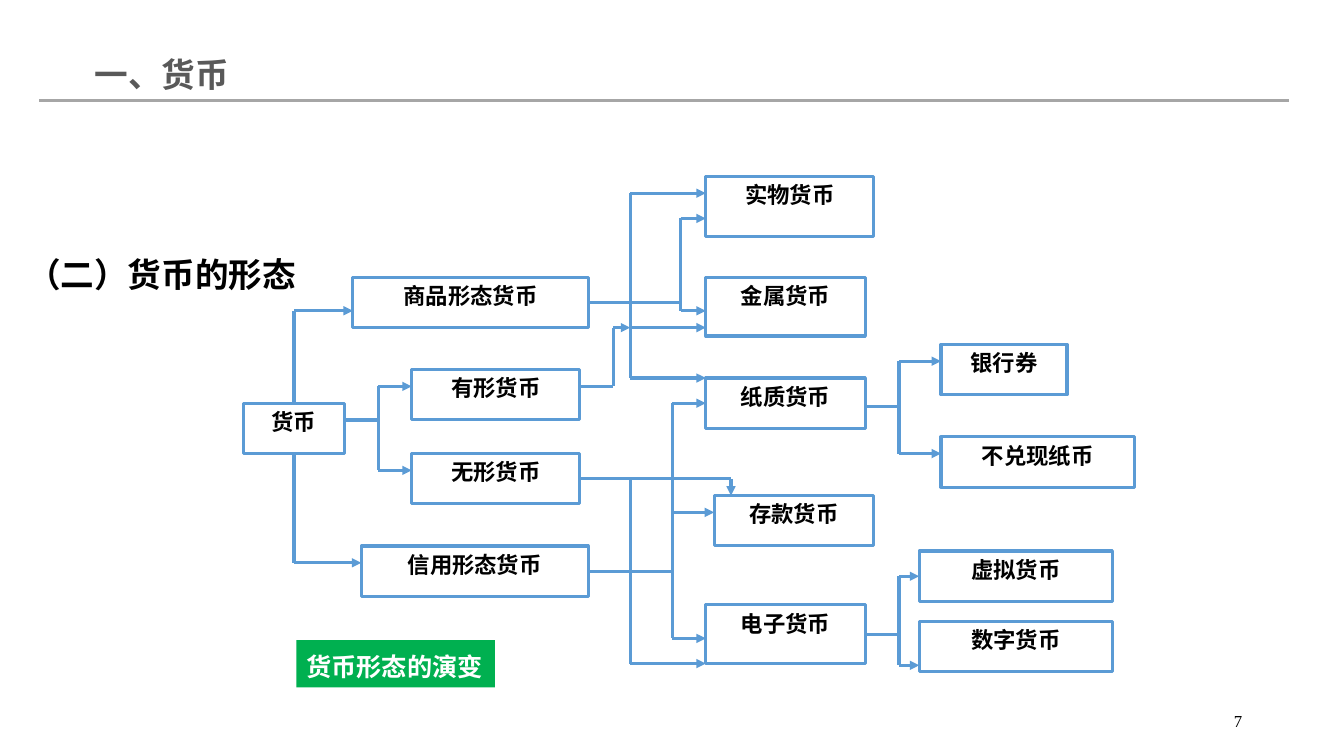
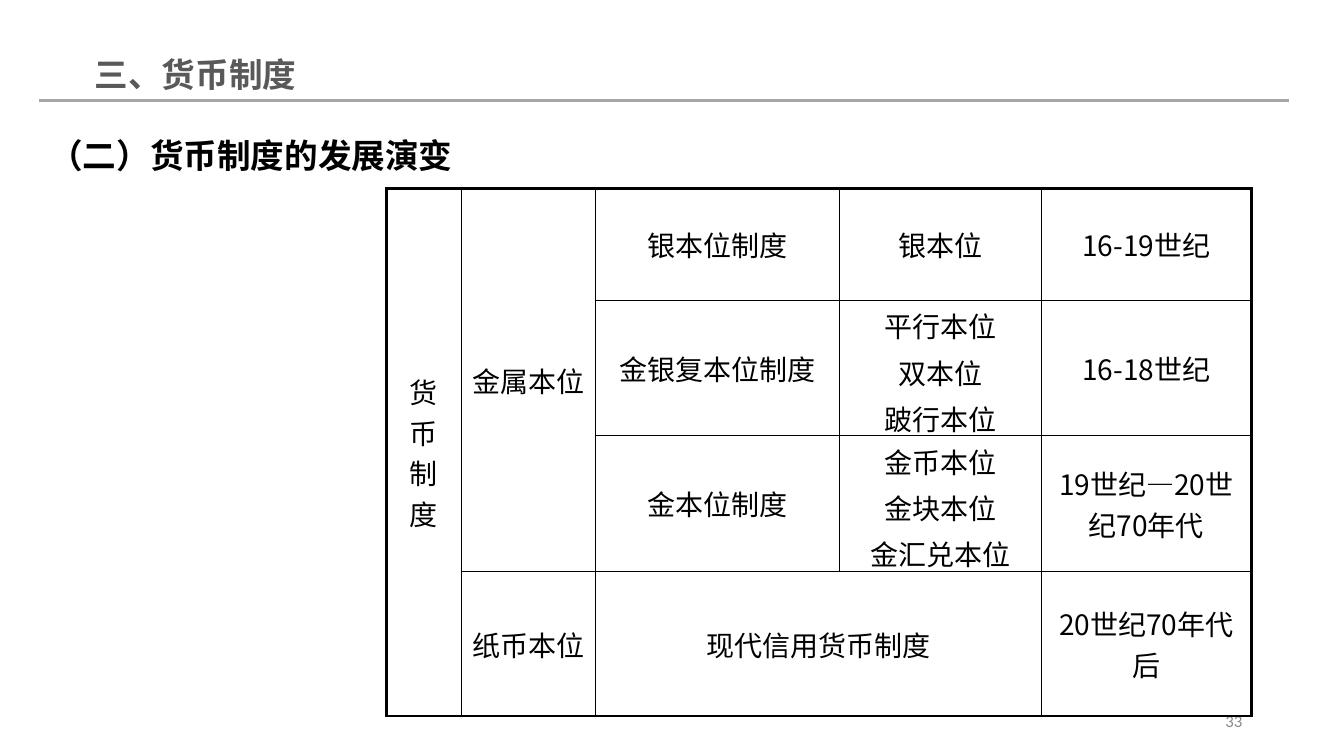
from dataclasses import dataclass
from itertools import pairwise

from lxml import etree
from pptx import Presentation
from pptx.dml.color import RGBColor
from pptx.enum.shapes import MSO_CONNECTOR, MSO_SHAPE
from pptx.enum.text import MSO_ANCHOR, PP_ALIGN
from pptx.oxml.ns import qn
from pptx.util import Inches, Pt

LEFT, CENTER, RIGHT = PP_ALIGN.LEFT, PP_ALIGN.CENTER, PP_ALIGN.RIGHT
TOP, MIDDLE = MSO_ANCHOR.TOP, MSO_ANCHOR.MIDDLE
RECTANGLE, STRAIGHT = MSO_SHAPE.RECTANGLE, MSO_CONNECTOR.STRAIGHT


@dataclass(frozen=True)
class Theme:
    cjk: str = "Noto Sans CJK SC"
    black: str = "000000"
    white: str = "FFFFFF"
    heading: str = "595959"
    rule: str = "A6A6A6"
    blue: str = "5B9BD5"
    green: str = "00B050"
    thick: float = 2.25
    thin: float = 1


THEME = Theme()

# Text styles
BASE = {"name": THEME.cjk, "color": THEME.black}
TITLE = BASE | {"size": 24, "bold": True, "color": THEME.heading}
SUBTITLE = BASE | {"size": 24, "bold": True}
NODE = BASE | {"size": 16, "bold": True}
LABEL = BASE | {"size": 18, "bold": True, "color": THEME.white}
CELL = BASE | {"size": 20}
SERIF_NUMBER = BASE | {"size": 12, "name": "Times New Roman"}
GREY_NUMBER = BASE | {"size": 12, "name": "Calibri", "color": "898989"}

# Shared frame, in inches: left, top, width, height
SLIDE_SIZE = (13.33, 7.5)
TITLE_BOX = (0.84, 0.49, 6.67, 0.51)
NUMBER_BOX = (9.42, 6.95, 3, 0.4)
RULE_ENDS = ((0.39, 1), (12.78, 1))

# Diagram: grid of columns and rows; nodes as column, row, width, height
DIAGRAM_BOX = (2, 1.5, 10, 5.5)
DIAGRAM_GRID = (120, 66)
NODES = {
    "货币": (5, 30, 12, 6),
    "商品形态货币": (18, 15, 28, 6),
    "有形货币": (25, 26, 20, 6),
    "无形货币": (25, 36, 20, 6),
    "信用形态货币": (19, 47, 27, 6),
    "实物货币": (60, 3, 20, 7.2),
    "金属货币": (60, 15, 19, 7),
    "纸质货币": (60, 27, 19, 6),
    "存款货币": (61, 41, 19, 6),
    "电子货币": (60, 54, 19, 7),
    "银行券": (88, 23, 15, 6),
    "不兑现纸币": (88, 34, 23, 6),
    "虚拟货币": (85.4, 47.6, 23, 6),
    "数字货币": (85.4, 56, 23, 6),
}
# Each branch: start, column of the shared upright, arrow targets
BRANCHES = [
    ((11, 30), 11, [(18, 19)]),
    ((11, 36), 11, [(19, 49)]),
    ((17, 32), 21, [(25, 28), (25, 38)]),
    ((46, 18), 57, [(60, 8), (60, 19)]),
    ((46, 50), 56, [(60, 30), (61, 43), (60, 58)]),
    ((45, 28), 49, [(51, 21)]),
    ((51, 21), 51, [(60, 5), (60, 21), (60, 27)]),
    ((45, 39), 51, [(60, 61)]),
    ((45, 39), 63, [(63, 41)]),
    ((79, 30.4), 83, [(88, 25), (88, 36)]),
    ((79, 57.5), 83, [(85.4, 50.6), (85.4, 61.2)]),
]

# Table: texts by (row, column), merged ranges
TABLE_BOX = (3.83, 1.87, 8.58, 5.23)
COLUMN_WIDTHS = (0.75, 1.33, 2.42, 2, 2.08)
ROW_HEIGHTS = (1.11, 1.34, 1.35, 1.43)
CELLS = {
    (0, 0): ["货币制度"],
    (0, 1): ["金属本位"],
    (0, 2): ["银本位制度"],
    (0, 3): ["银本位"],
    (0, 4): ["16-19世纪"],
    (1, 2): ["金银复本位制度"],
    (1, 3): ["平行本位", "双本位", "跛行本位"],
    (1, 4): ["16-18世纪"],
    (2, 2): ["金本位制度"],
    (2, 3): ["金币本位", "金块本位", "金汇兑本位"],
    (2, 4): ["19世纪—20世纪70年代"],
    (3, 1): ["纸币本位"],
    (3, 2): ["现代信用货币制度"],
    (3, 4): ["20世纪70年代后"],
}
MERGES = [((0, 0), (3, 0)), ((0, 1), (2, 1)), ((3, 2), (3, 3))]


def rgb(color):
    return RGBColor.from_string(color)


def inches(values):
    return [Inches(value) for value in values]


def add_child(parent, tag, **attributes):
    return etree.SubElement(parent, qn(tag), attributes)


def write(frame, lines, style, align=LEFT, spacing=None, gap=0):
    """Fill a text frame with one paragraph for each line."""
    for index, line in enumerate(lines):
        para = frame.add_paragraph() if index else frame.paragraphs[0]
        para.alignment = align
        if spacing:
            para.line_spacing = spacing
        if index and gap:
            para.space_before = Pt(gap)
        span = para.add_run()
        span.text = line
        for key, value in style.items():
            if key == "color":
                span.font.color.rgb = rgb(value)
            else:
                setattr(span.font, key, Pt(value) if key == "size" else value)
        add_child(span.font._element, "a:ea", typeface=style["name"])


def add_text(page, box, text, style, align=LEFT, anchor=TOP, wrap=True, spacing=None):
    frame = page.shapes.add_textbox(*inches(box)).text_frame
    frame.word_wrap = wrap
    frame.vertical_anchor = anchor
    write(frame, [text], style, align, spacing)


def add_box(page, box, text, style, fill, outline=None, opacity=None,
            align=CENTER, wrap=True, spacing=None):
    shape = page.shapes.add_shape(RECTANGLE, *inches(box))
    shape.shadow.inherit = False
    shape.fill.solid()
    shape.fill.fore_color.rgb = rgb(fill)
    if opacity:
        color = shape.fill._xPr.find(qn("a:solidFill"))[0]
        add_child(color, "a:alpha", val=str(opacity * 1000))
    if outline:
        shape.line.color.rgb = rgb(outline)
        shape.line.width = Pt(THEME.thick)
    else:
        shape.line.fill.background()
    frame = shape.text_frame
    frame.word_wrap = wrap
    frame.vertical_anchor = TOP
    write(frame, [text], style, align, spacing)


def add_line(page, start, end, color, arrow=False):
    line = page.shapes.add_connector(STRAIGHT, *inches((*start, *end)))
    line.line.color.rgb = rgb(color)
    line.line.width = Pt(THEME.thick)
    if arrow:
        add_child(line.line._get_or_add_ln(), "a:tailEnd", type="triangle")
    add_child(line._element.spPr, "a:effectLst")


def add_page(deck, title, number, number_style):
    """Blank slide with the shared rule, title and page number."""
    page = deck.slides.add_slide(deck.slide_layouts[6])
    add_line(page, *RULE_ENDS, THEME.rule)
    add_text(page, TITLE_BOX, title, TITLE)
    add_text(page, NUMBER_BOX, number, number_style, RIGHT, MIDDLE)
    return page


def draw_diagram(page, box):
    left, top, width, height = box
    columns, rows = DIAGRAM_GRID
    step_x, step_y = width / columns, height / rows

    def point(column, row):
        return left + column * step_x, top + row * step_y

    # Nodes
    for text, (column, row, wide, high) in NODES.items():
        node_box = (*point(column, row), wide * step_x, high * step_y)
        add_box(page, node_box, text, NODE, THEME.white, THEME.blue, opacity=50)

    # Elbow arrows, each segment drawn once
    drawn = set()
    for start, upright, targets in BRANCHES:
        for target in targets:
            corners = [start, (upright, start[1]), (upright, target[1]), target]
            for segment in pairwise(corners):
                if segment[0] != segment[1] and segment not in drawn:
                    drawn.add(segment)
                    add_line(page, point(*segment[0]), point(*segment[1]),
                             THEME.blue, arrow=segment[1] == target)


def set_borders(cell, edges):
    """Draw left, right, top and bottom borders; outer edges are thick."""
    properties = cell._tc.get_or_add_tcPr()
    for index, (side, outer) in enumerate(zip("LRTB", edges)):
        width = Pt(THEME.thick if outer else THEME.thin)
        line = etree.Element(qn(f"a:ln{side}"), w=str(int(width)))
        add_child(add_child(line, "a:solidFill"), "a:srgbClr", val=THEME.black)
        properties.insert(index, line)


def draw_table(page, box):
    row_count, column_count = len(ROW_HEIGHTS), len(COLUMN_WIDTHS)
    table = page.shapes.add_table(row_count, column_count, *inches(box)).table
    for column, share in zip(table.columns, COLUMN_WIDTHS):
        column.width = Inches(box[2] * share / sum(COLUMN_WIDTHS))
    for row, share in zip(table.rows, ROW_HEIGHTS):
        row.height = Inches(box[3] * share / sum(ROW_HEIGHTS))
    for first, last in MERGES:
        table.cell(*first).merge(table.cell(*last))

    for row in range(row_count):
        for column in range(column_count):
            cell = table.cell(row, column)
            cell.fill.solid()
            cell.fill.fore_color.rgb = rgb(THEME.white)
            cell.vertical_anchor = MIDDLE
            last_row, last_column = row, column
            if cell.is_merge_origin:
                last_row += cell.span_height - 1
                last_column += cell.span_width - 1
            set_borders(cell, (column == 0, last_column == column_count - 1,
                               row == 0, last_row == row_count - 1))
            write(cell.text_frame, CELLS.get((row, column), []), CELL, CENTER, gap=4)


def build_forms_page(deck):
    page = add_page(deck, "一、货币", "7", SERIF_NUMBER)
    draw_diagram(page, DIAGRAM_BOX)
    add_box(page, (2.94, 6.35, 1.97, 0.47), "货币形态的演变", LABEL, THEME.green,
            align=LEFT, wrap=False, spacing=1.2)
    add_text(page, (0.17, 2.39, 2.89, 0.59), "（二）货币的形态", SUBTITLE,
             wrap=False, spacing=1.2)


def build_systems_page(deck):
    page = add_page(deck, "三、货币制度", "33", GREY_NUMBER)
    add_text(page, (0.39, 1.21, 6.89, 1.07), "（二）货币制度的发展演变", SUBTITLE,
             spacing=1.2)
    draw_table(page, TABLE_BOX)


def main():
    deck = Presentation()
    deck.slide_width, deck.slide_height = inches(SLIDE_SIZE)
    build_forms_page(deck)
    build_systems_page(deck)
    deck.save("out.pptx")


if __name__ == "__main__":
    main()
